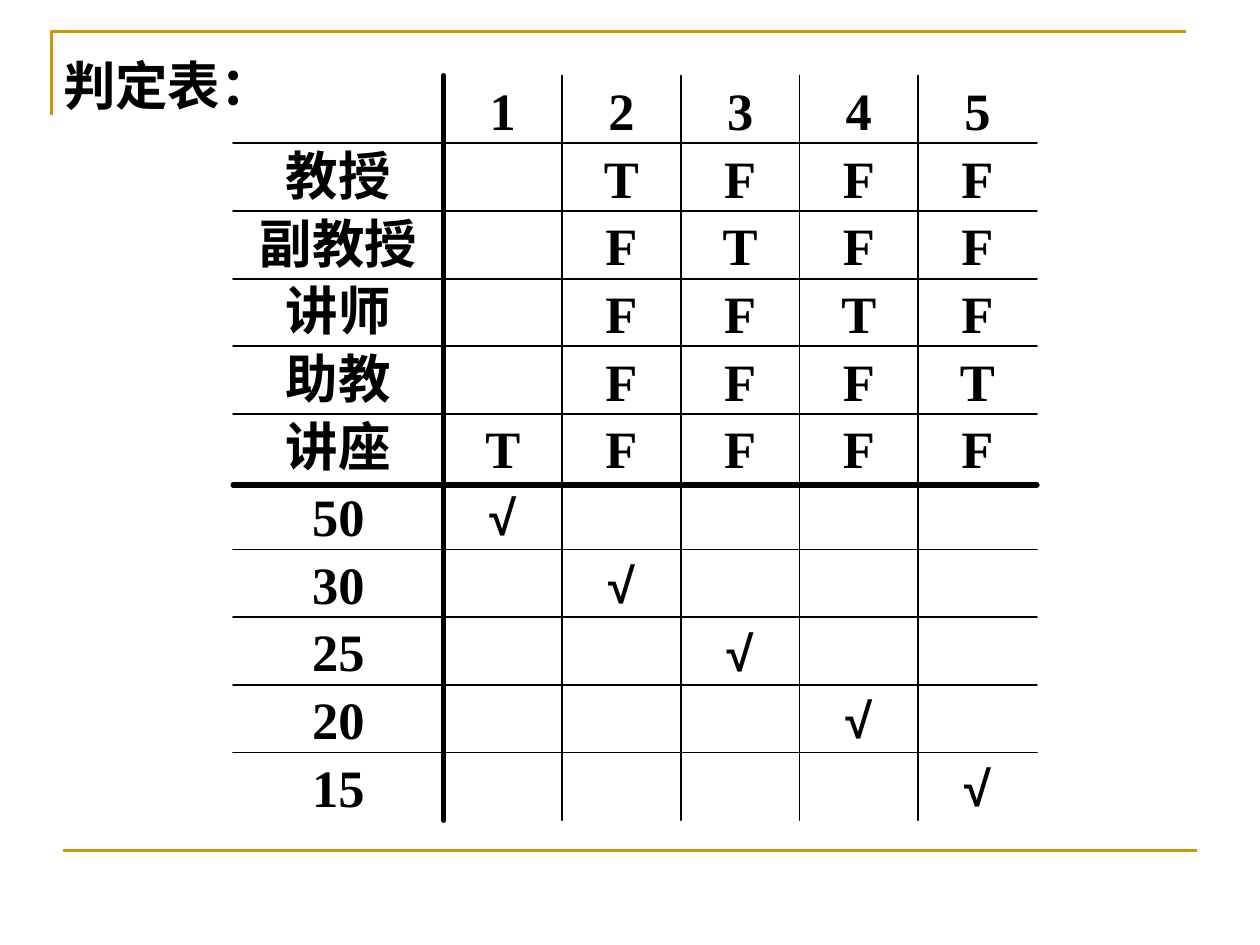
from dataclasses import dataclass

from lxml import etree
from pptx import Presentation
from pptx.dml.color import RGBColor
from pptx.enum.shapes import MSO_CONNECTOR
from pptx.enum.text import MSO_ANCHOR, PP_ALIGN
from pptx.oxml.ns import qn
from pptx.util import Inches, Pt

STRAIGHT = MSO_CONNECTOR.STRAIGHT
MIDDLE, CENTER = MSO_ANCHOR.MIDDLE, PP_ALIGN.CENTER


@dataclass(frozen=True)
class Theme:
    """Colours, fonts and sizes of the slide."""
    ink: str = "000000"
    accent: str = "CC9900"
    body_font: str = "Times New Roman"
    sign_font: str = "Arial"
    body_size: float = 30
    sign_size: float = 28
    body_pitch: float = 37
    rank_pitch: float = 38.5
    sign_pitch: float = 35
    thin: float = 1
    thick: float = 3
    frame: float = 1.5


@dataclass(frozen=True)
class Rule:
    """One row of the decision table: its label and the five entries."""
    label: str
    entries: str


THEME = Theme()
TICK = "√"
RULES = [
    Rule("", "12345"),
    Rule("教授", " TFFF"),
    Rule("副教授", " FTFF"),
    Rule("讲师", " FFTF"),
    Rule("助教", " FFFT"),
    Rule("讲座", "TFFFF"),
    Rule("50", "√    "),
    Rule("30", " √   "),
    Rule("25", "  √  "),
    Rule("20", "   √ "),
    Rule("15", "    √"),
]
ROWS, ENTRIES = len(RULES), len(RULES[0].entries)
FIRST_ACTION = 6
LEFT, TOP, WIDTH, HEIGHT = 1.85, 0.6, 6.38, 5.91
RIGHT, BOTTOM = LEFT + WIDTH, TOP + HEIGHT
LABEL_WIDTH = 1.67
ENTRY_WIDTH = (WIDTH - LABEL_WIDTH) / ENTRIES
ROW_HEIGHT = HEIGHT / ROWS
ACTION_DIVIDER = 3.85


def add_text(paragraph, text: str, font: str, size: float) -> None:
    """Add one bold run."""
    run = paragraph.add_run()
    run.text = text
    run.font.name, run.font.size, run.font.bold = font, Pt(size), True
    run.font.color.rgb = RGBColor.from_string(THEME.ink)


def clear_borders(cell) -> None:
    """Leave all four cell edges bare."""
    for side in "LRTB":
        edge = etree.SubElement(cell._tc.get_or_add_tcPr(), qn(f"a:ln{side}"))
        etree.SubElement(edge, qn("a:noFill"))


def fill_cell(cell, text: str) -> None:
    """Write a centred entry without cell margins, fill or borders."""
    cell.margin_left = cell.margin_right = cell.margin_top = cell.margin_bottom = 0
    cell.vertical_anchor = MIDDLE
    clear_borders(cell)
    cell.fill.background()
    paragraph = cell.text_frame.paragraphs[0]
    paragraph.alignment = CENTER
    if text == TICK:
        paragraph.line_spacing = Pt(THEME.sign_pitch)
        add_text(paragraph, text, THEME.sign_font, THEME.sign_size)
    elif text:
        pitch = THEME.body_pitch if text.isascii() else THEME.rank_pitch
        paragraph.line_spacing = Pt(pitch)
        add_text(paragraph, text, THEME.body_font, THEME.body_size)


def add_decision_table(slide) -> None:
    """Build the decision table."""
    table = slide.shapes.add_table(ROWS, ENTRIES + 1, Inches(LEFT), Inches(TOP),
                                   Inches(WIDTH), Inches(HEIGHT)).table
    table.first_row = table.horz_banding = False
    for c, column in enumerate(table.columns):
        column.width = Inches(ENTRY_WIDTH if c else LABEL_WIDTH)
    for r, rule in enumerate(RULES):
        table.rows[r].height = Inches(ROW_HEIGHT)
        for c, entry in enumerate([rule.label, *rule.entries]):
            fill_cell(table.cell(r, c), entry.strip())


def style_line(line, color: str, width: float) -> None:
    """Give a line its colour and width."""
    line.color.rgb = RGBColor.from_string(color)
    line.width = Pt(width)


def add_line(slide, x1: float, y1: float, x2: float, y2: float,
             color: str, width: float):
    """Draw a straight line without shadow."""
    line = slide.shapes.add_connector(STRAIGHT, Inches(x1), Inches(y1),
                                      Inches(x2), Inches(y2))
    style_line(line.line, color, width)
    etree.SubElement(line._element.spPr, qn("a:effectLst"))
    return line


def add_grid(slide) -> None:
    """Rule the table inside, heavy beside the labels and above the actions."""
    rulings = []
    for c in range(ENTRIES):
        x = LEFT + LABEL_WIDTH + c * ENTRY_WIDTH
        rulings.append((x, TOP, x, BOTTOM, c == 0))
    for r in range(1, ROWS):
        heavy = r == FIRST_ACTION
        y = ACTION_DIVIDER if heavy else TOP + r * ROW_HEIGHT
        rulings.append((LEFT, y, RIGHT, y, heavy))
    for x1, y1, x2, y2, heavy in rulings:
        ruling = add_line(slide, x1, y1, x2, y2, THEME.ink,
                          THEME.thick if heavy else THEME.thin)
        ruling._element.spPr.find(qn("a:ln")).set("cap", "rnd")


def add_frame(slide) -> None:
    """Draw the corner at the top and the rule at the bottom."""
    builder = slide.shapes.build_freeform(Inches(0.41), Inches(0.91))
    builder.add_line_segments([(Inches(0.41), Inches(0.25)),
                               (Inches(9.41), Inches(0.25))], close=False)
    corner = builder.convert_to_shape()
    corner.shadow.inherit = False
    corner.fill.background()
    style_line(corner.line, THEME.accent, THEME.frame)
    add_line(slide, 0.5, 6.75, 9.5, 6.75, THEME.accent, THEME.frame)


def add_title(slide, text: str) -> None:
    """Place the heading at the top left."""
    frame = slide.shapes.add_textbox(Inches(0.5), Inches(0.37),
                                     Inches(2.02), Inches(0.67)).text_frame
    frame.word_wrap = True
    frame.margin_left = frame.margin_right = 0
    paragraph = frame.paragraphs[0]
    paragraph.space_before = Pt(7.5)
    add_text(paragraph, text, THEME.sign_font, THEME.body_size)


def main() -> None:
    """Build and save the slide."""
    deck = Presentation()
    deck.slide_width, deck.slide_height = Inches(10), Inches(7.5)
    slide = deck.slides.add_slide(deck.slide_layouts[6])
    add_frame(slide)
    add_decision_table(slide)
    add_grid(slide)
    add_title(slide, "判定表：")
    deck.save("out.pptx")


main()
